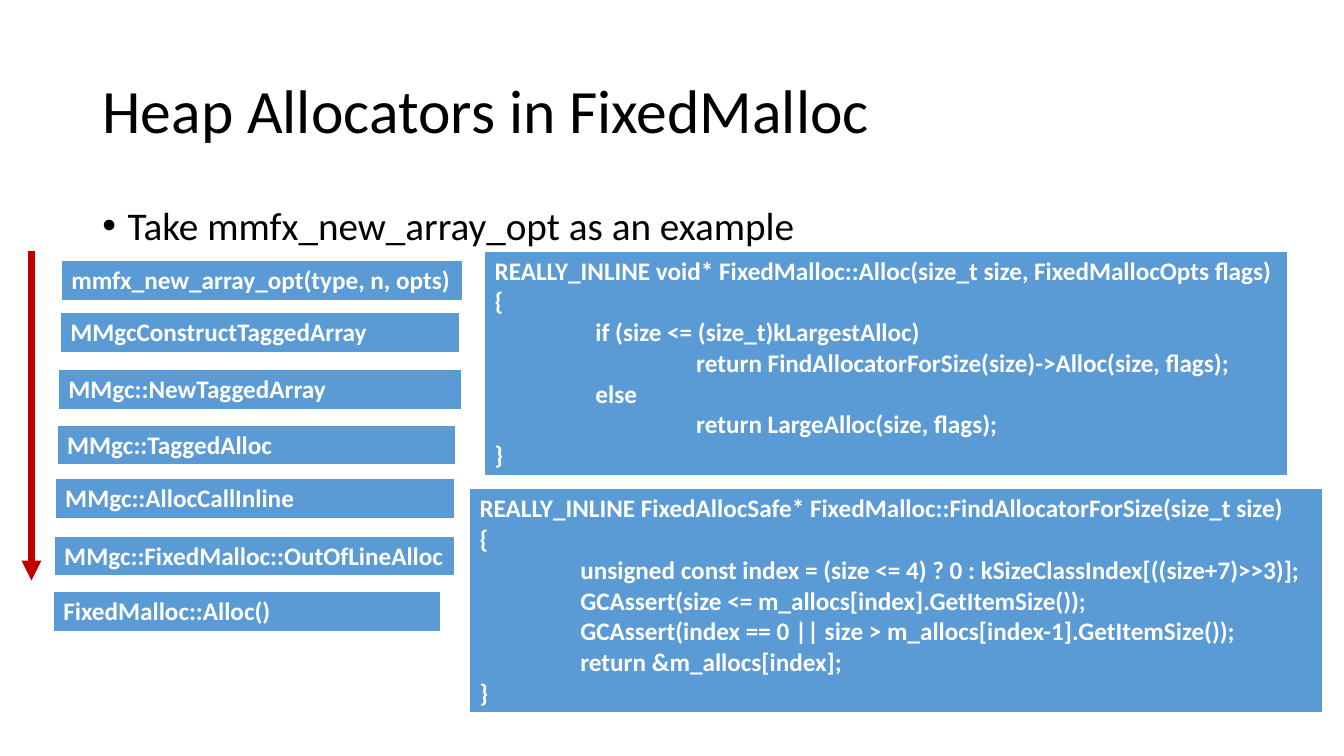
from lxml.etree import SubElement
from pptx import Presentation
from pptx.dml.color import RGBColor
from pptx.enum.shapes import MSO_CONNECTOR as Connector
from pptx.enum.text import MSO_ANCHOR as Anchor, MSO_AUTO_SIZE as AutoSize, PP_ALIGN as Align
from pptx.oxml import parse_xml
from pptx.oxml.ns import nsdecls, qn
from pptx.util import Pt

BLACK = RGBColor(0x00, 0x00, 0x00)
WHITE = RGBColor(0xFF, 0xFF, 0xFF)
BLUE = RGBColor(0x5B, 0x9B, 0xD5)
RED = RGBColor(0xC0, 0x00, 0x00)

TAB_WIDTH = 72
ROW_HEIGHT = 29.2
CODE_HEIGHT = 158.4
BORDERS = {"lnL": 1, "lnR": 1, "lnT": 1, "lnB": 3}

CALL_CHAIN = [
    ("mmfx_new_array_opt(type, n, opts)", 43.8, 186.2, 286.5),
    ("MMgcConstructTaggedArray", 43, 223.2, 285.1),
    ("MMgc::NewTaggedArray", 41.6, 264.2, 288),
    ("MMgc::TaggedAlloc", 40.8, 303.8, 284.4),
    ("MMgc::AllocCallInline", 39.4, 342, 285.1),
    ("MMgc::FixedMalloc::OutOfLineAlloc", 38.7, 383, 285.8),
    ("FixedMalloc::Alloc()", 38, 422.6, 276.5),
]

ALLOC_CODE = """REALLY_INLINE void* FixedMalloc::Alloc(size_t size, FixedMallocOpts flags)
{
\tif (size <= (size_t)kLargestAlloc)
\t\treturn FindAllocatorForSize(size)->Alloc(size, flags);
\telse
\t\treturn LargeAlloc(size, flags);
}"""

FIND_CODE = """REALLY_INLINE FixedAllocSafe* FixedMalloc::FindAllocatorForSize(size_t size)
{
\tunsigned const index = (size <= 4) ? 0 : kSizeClassIndex[((size+7)>>3)];
\tGCAssert(size <= m_allocs[index].GetItemSize());
\tGCAssert(index == 0 || size > m_allocs[index-1].GetItemSize());
\treturn &m_allocs[index];
}"""


def write_text(frame, text, size, color, bold=False, line_spacing=1.0, space_before=0):
    for number, line in enumerate(text.split("\n")):
        para = frame.paragraphs[0] if number == 0 else frame.add_paragraph()
        para.alignment = Align.LEFT
        para.line_spacing = line_spacing
        para.space_before = Pt(space_before)
        para._p.get_or_add_pPr().set("defTabSz", str(Pt(TAB_WIDTH)))
        span = para.add_run()
        span.text = line
        span.font.name = "Calibri"
        span.font.size = Pt(size)
        span.font.bold = bold
        span.font.color.rgb = color


def fill_placeholder(box, text, left, top, width, height, anchor, **text_format):
    box.left, box.top, box.width, box.height = Pt(left), Pt(top), Pt(width), Pt(height)
    frame = box.text_frame
    frame.word_wrap = True
    frame.auto_size = AutoSize.NONE
    frame.vertical_anchor = anchor
    write_text(frame, text, color=BLACK, line_spacing=0.9, **text_format)


def add_bullet(para, indent):
    properties = para._p.get_or_add_pPr()
    properties.set("marL", str(Pt(indent)))
    properties.set("indent", str(Pt(-indent)))
    SubElement(properties, qn("a:buFont"), typeface="Arial")
    SubElement(properties, qn("a:buChar"), char="•")


def add_borders(cell):
    properties = cell._tc.get_or_add_tcPr()
    for position, (side, width) in enumerate(BORDERS.items()):
        border = parse_xml(
            f'<a:{side} {nsdecls("a")} w="{Pt(width)}"><a:solidFill>'
            f'<a:srgbClr val="{WHITE}"/></a:solidFill></a:{side}>'
        )
        properties.insert(position, border)


def add_code_table(slide, text, left, top, width, height=ROW_HEIGHT):
    frame = slide.shapes.add_table(1, 1, Pt(left), Pt(top), Pt(width), Pt(height))
    cell = frame.table.cell(0, 0)
    cell.fill.solid()
    cell.fill.fore_color.rgb = BLUE
    write_text(cell.text_frame, text, size=18, color=WHITE, bold=True)
    add_borders(cell)


def add_arrow(slide, x, top, bottom):
    arrow = slide.shapes.add_connector(Connector.STRAIGHT, Pt(x), Pt(top), Pt(x), Pt(bottom))
    arrow.line.color.rgb = RED
    arrow.line.width = Pt(4.75)
    SubElement(arrow.line._get_or_add_ln(), qn("a:tailEnd"), type="triangle")
    SubElement(arrow._element.spPr, qn("a:effectLst"))


def main():
    deck = Presentation()
    deck.slide_width, deck.slide_height = Pt(960), Pt(540)
    slide = deck.slides.add_slide(deck.slide_layouts[1])

    title, body = slide.placeholders
    fill_placeholder(title, "Heap Allocators in FixedMalloc", 66, 28.8, 828, 104.4,
                     Anchor.MIDDLE, size=44)
    fill_placeholder(body, "Take mmfx_new_array_opt as an example", 66, 144, 828, 342.7,
                     Anchor.TOP, size=28, space_before=10)
    add_bullet(body.text_frame.paragraphs[0], 18)

    for call, left, top, width in CALL_CHAIN:
        add_code_table(slide, call, left, top, width)
    add_arrow(slide, 22.5, 179.3, 414.7)
    add_code_table(slide, ALLOC_CODE, 346.1, 179.3, 573.8, CODE_HEIGHT)
    add_code_table(slide, FIND_CODE, 335.3, 349.2, 609.1, CODE_HEIGHT)

    deck.save("out.pptx")


if __name__ == "__main__":
    main()
